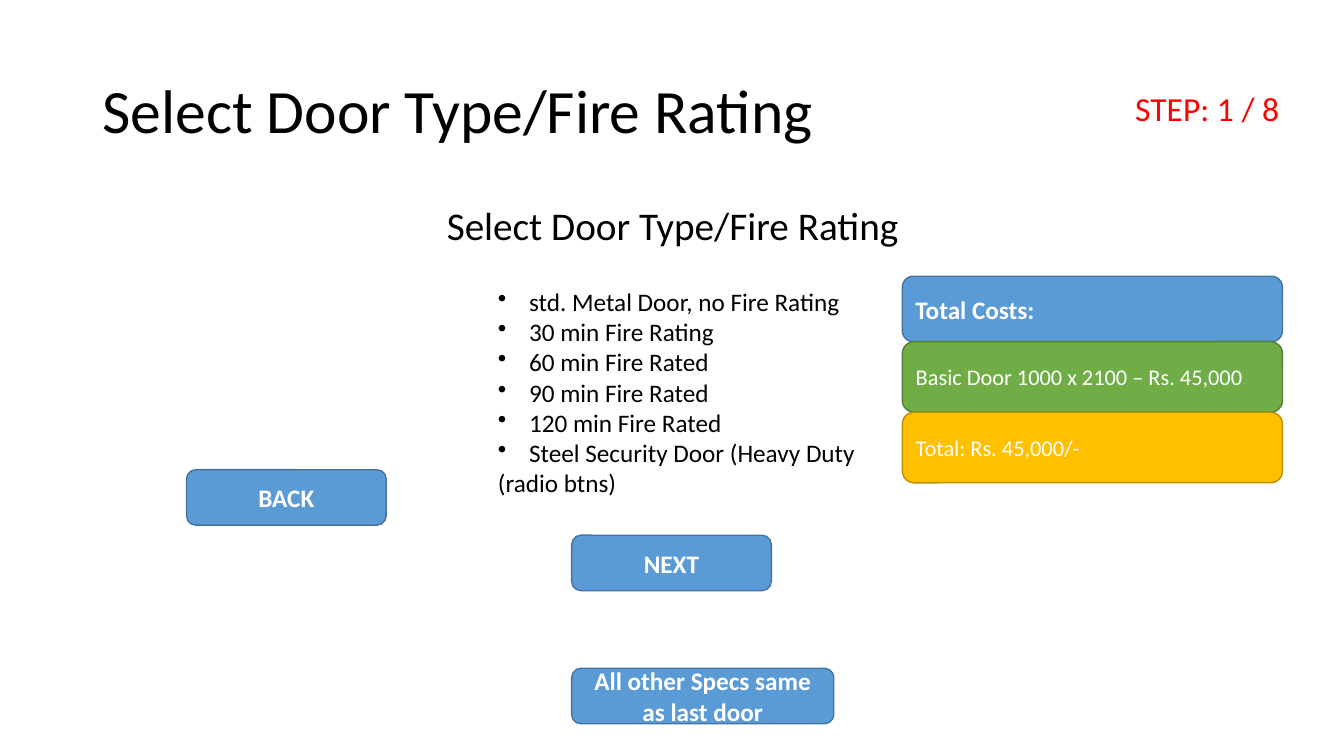
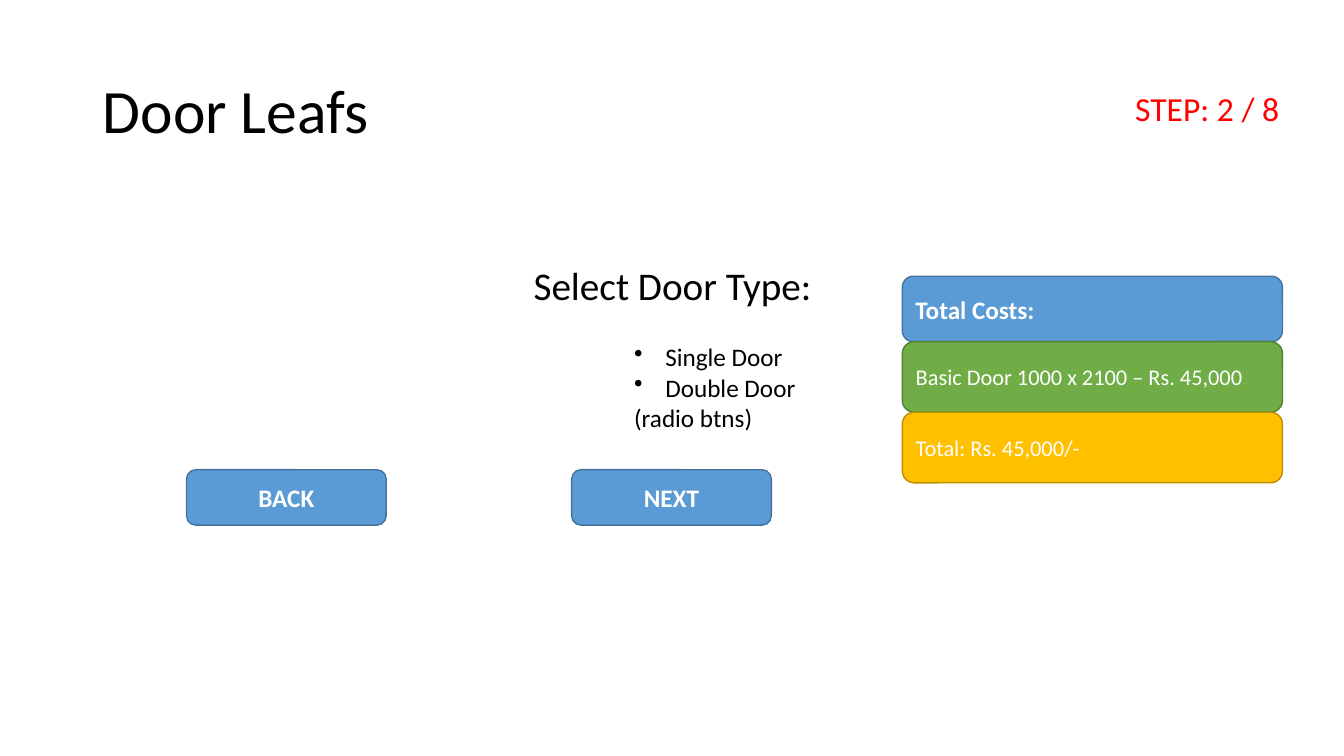
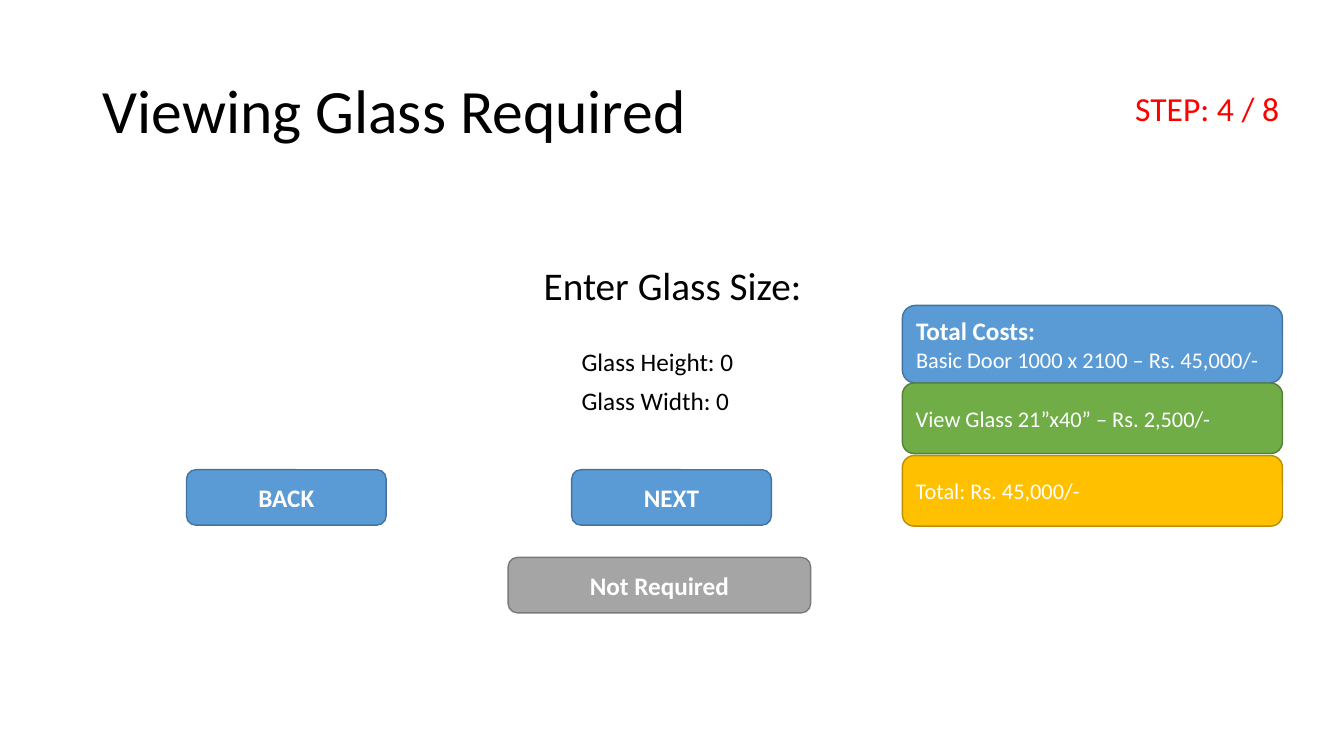
from pptx import Presentation, util as u
from pptx.dml.color import RGBColor
from pptx.enum import shapes, text
from pptx.oxml.xmlchemy import OxmlElement

BLUE = ("5B9BD5", "43739E")
GREEN = ("70AD47", "538035")
GOLD = ("FFC000", "BD8E00")
GRAY = ("A5A5A5", "7A7A7A")
LEFT, CENTER = text.PP_ALIGN.LEFT, text.PP_ALIGN.CENTER
TOP, MIDDLE = text.MSO_ANCHOR.TOP, text.MSO_ANCHOR.MIDDLE


def tint(code):
    return RGBColor.from_string(code)


class Deck:
    """Holds the style and the current slide of the door wizard."""

    def __init__(self):
        self.prs = Presentation()
        self.prs.slide_width = u.Inches(13.33)
        self.prs.slide_height = u.Inches(7.5)

    def page(self, title, step, head, top):
        self.slide = self.prs.slides.add_slide(self.prs.slide_layouts[6])
        self.label((0.92, 0.4, 11.5, 1.45), [title], 44, anchor=MIDDLE, lead=0.9)
        self.label((0.92, top, 11.5, 0.6), [head], 28, align=CENTER, lead=0.9)
        self.label((11.16, 0.82, 1.8, 0.5), [f"STEP: {step} / 8"], 24, "FF0000")
        self.button("BACK", 1.85, 4.66)

    def letter(self, shape, lines, size, color, align=LEFT, anchor=TOP, bold=False, lead=None):
        frame = shape.text_frame
        frame.word_wrap = True
        frame.vertical_anchor = anchor
        frame.text = "\n".join(lines)
        for par in frame.paragraphs:
            par.alignment = align
            par.line_spacing = lead
            font = par.font
            font.name, font.size, font.bold = "Calibri", u.Pt(size), bold
            font.color.rgb = tint(color)
        return frame.paragraphs

    def label(self, box, lines, size=18, color="000000", **style):
        shape = self.slide.shapes.add_textbox(*map(u.Inches, box))
        return self.letter(shape, lines, size, color, **style)

    def options(self, box, names):
        pars = self.label(box, names + ["(radio btns)"])
        for par in pars[:-1]:
            props = par._p.get_or_add_pPr()
            props.set("marL", str(u.Inches(0.31)))
            props.set("indent", str(u.Inches(-0.31)))
            mark = OxmlElement("a:buChar")
            mark.set("char", "•")
            props.insert_element_before(mark, "a:tabLst", "a:defRPr", "a:extLst")

    def block(self, box, lines, look, size, **style):
        kind = shapes.MSO_SHAPE.ROUNDED_RECTANGLE
        shape = self.slide.shapes.add_shape(kind, *map(u.Inches, box))
        shape.shadow.inherit = False
        shape.fill.solid()
        shape.fill.fore_color.rgb = tint(look[0])
        shape.line.color.rgb = tint(look[1])
        shape.line.width = u.Pt(1)
        return self.letter(shape, lines, size, "FFFFFF", anchor=MIDDLE, **style)

    def button(self, name, left, top, width=1.98, look=BLUE):
        self.block((left, top, width, 0.55), [name], look, 18, align=CENTER, bold=True)

    def costs(self, top, height, item, extra=(), gap=0):
        left, width, row = 8.95, 3.77, 0.7
        pars = self.block((left, top, width, height), ["Total Costs:", *extra], BLUE, 18, bold=True)
        for par in pars[1:]:
            par.font.size, par.font.bold = u.Pt(16), False
        top += height
        self.block((left, top, width, row), [item], GREEN, 16)
        top += row + gap
        self.block((left, top, width, row), ["Total: Rs. 45,000/-"], GOLD, 16)


def main():
    deck = Deck()
    basic = "Basic Door 1000 x 2100 – Rs. 45,000"

    deck.page("Select Door Type/Fire Rating", 1, "Select Door Type/Fire Rating", 2)
    deck.options((4.84, 2.79, 4.7, 2.22), [
        "std. Metal Door, no Fire Rating", "30 min Fire Rating",
        "60 min Fire Rated", "90 min Fire Rated", "120 min Fire Rated",
        "Steel Security Door (Heavy Duty"])
    deck.button("NEXT", 5.67, 5.31)
    deck.button("All other Specs same as last door", 5.67, 6.63, 2.6)
    deck.costs(2.74, 0.65, basic)

    deck.page("Door Leafs", 2, "Select Door Type:", 2.6)
    deck.options((6.19, 3.34, 2.55, 1.01), ["Single Door", "Double Door"])
    deck.button("NEXT", 5.67, 4.66)
    deck.costs(2.74, 0.65, basic)

    deck.page("Viewing Glass Required", 4, "Enter Glass Size:", 2.6)
    for row, side in enumerate(["Height", "Width"]):
        deck.label((5.67, 3.39 + 0.38 * row, 2, 0.4), [f"Glass {side}: 0"])
    deck.button("NEXT", 5.67, 4.66)
    deck.button("Not Required", 5.04, 5.53, 3, GRAY)
    deck.costs(3.03, 0.77, "View Glass 21”x40” – Rs. 2,500/-", [basic + "/-"], 0.02)

    deck.prs.save("out.pptx")


if __name__ == "__main__":
    main()
